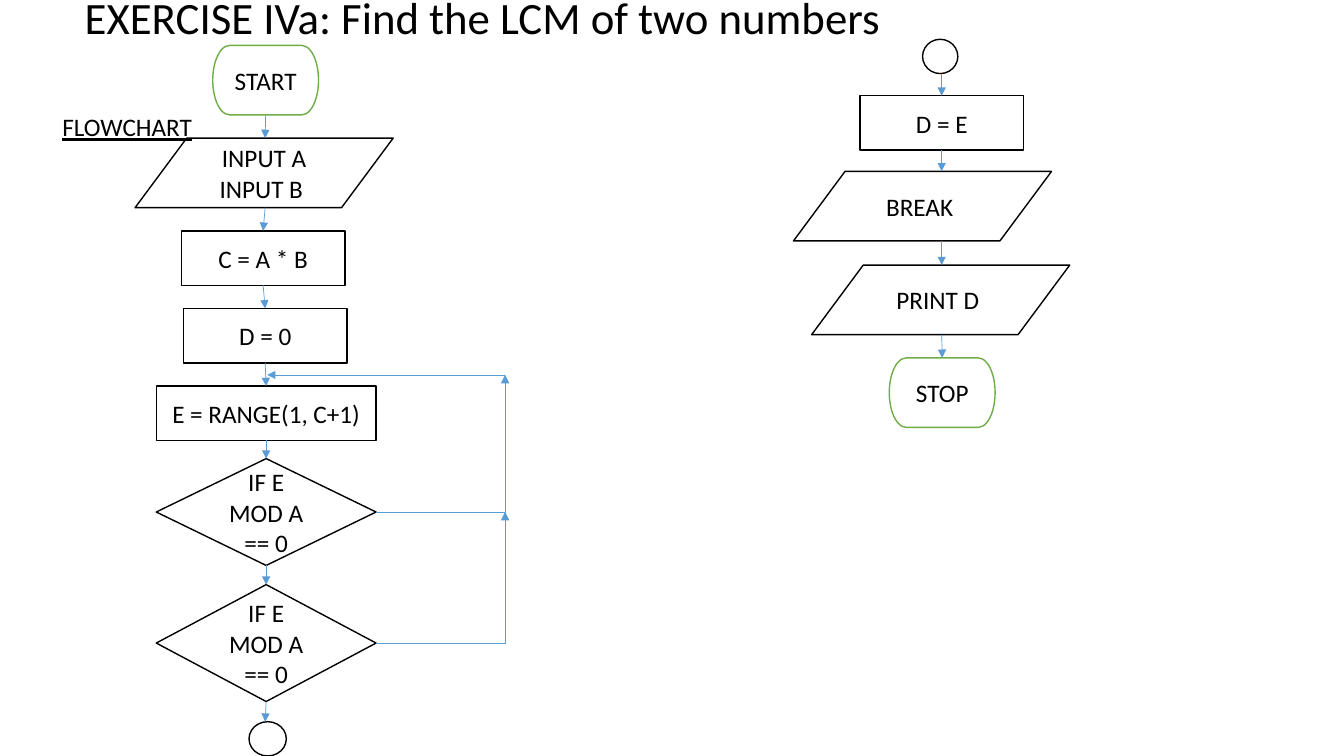
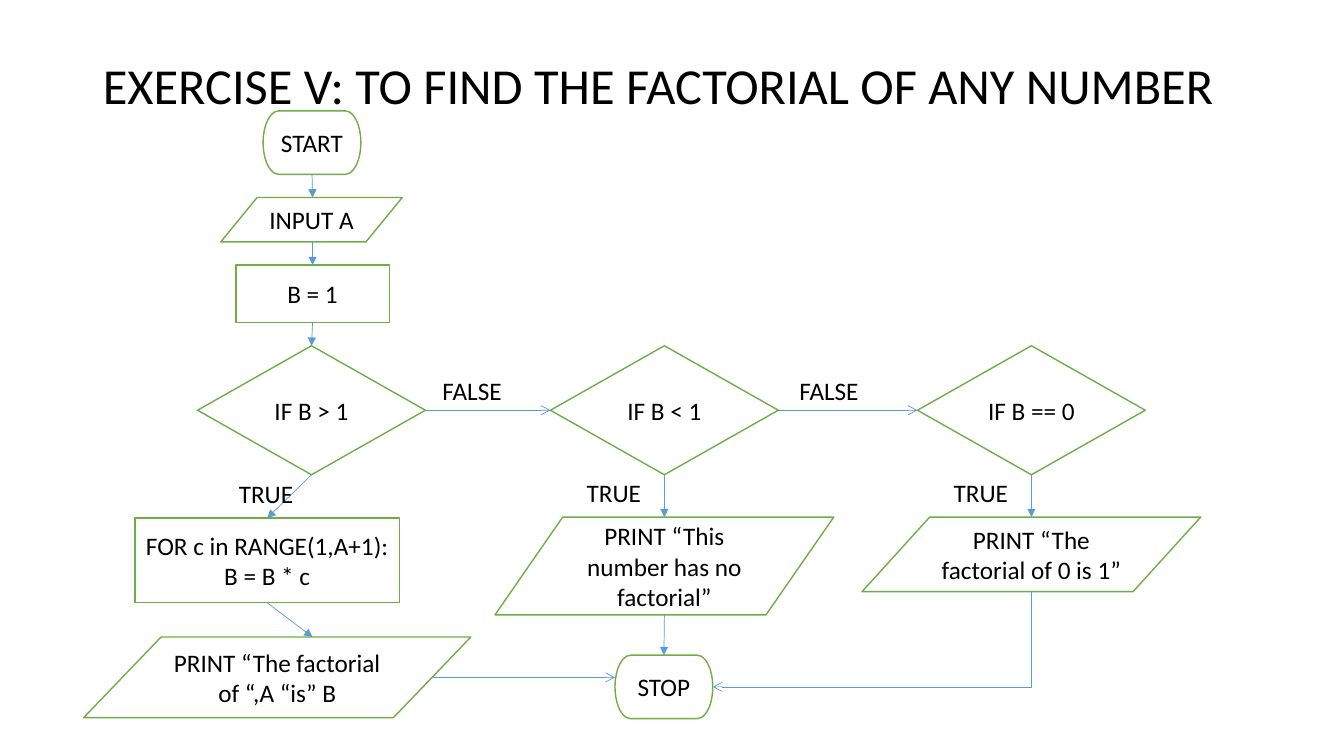
from itertools import pairwise

from lxml import etree
from pptx import Presentation
from pptx import util as u
from pptx.dml.color import RGBColor
from pptx.enum import shapes, text
from pptx.oxml.ns import qn

COLORS = {"ink": "000000", "paper": "FFFFFF", "green": "70AD47", "blue": "5B9BD5"}
FONT = "Calibri"
KINDS = {
    "terminator": shapes.MSO_SHAPE.FLOWCHART_TERMINATOR,
    "data": shapes.MSO_SHAPE.FLOWCHART_DATA,
    "process": shapes.MSO_SHAPE.FLOWCHART_PROCESS,
    "decision": shapes.MSO_SHAPE.FLOWCHART_DECISION,
    "junction": shapes.MSO_SHAPE.FLOWCHART_CONNECTOR,
}
JOINABLE = ("terminator", "process", "decision")
TOP, LEFT, BOTTOM, RIGHT = range(4)


def write(frame, lines, size=18, align=text.PP_ALIGN.LEFT, underline=None):
    frame.word_wrap = True
    for index, line in enumerate(lines):
        para = frame.add_paragraph() if index else frame.paragraphs[0]
        para.alignment = align
        span = para.add_run()
        span.text = line
        span.font.name = FONT
        span.font.size = u.Pt(size)
        span.font.underline = underline
        span.font.color.rgb = RGBColor.from_string(COLORS["ink"])


def connect(page, start, end, head="triangle", begin=None, finish=None, bent=False, arrow_end="tailEnd"):
    style = shapes.MSO_CONNECTOR.ELBOW if bent else shapes.MSO_CONNECTOR.STRAIGHT
    line = page.shapes.add_connector(style, *(u.Inches(v) for v in (*start, *end)))
    line.line.color.rgb = RGBColor.from_string(COLORS["blue"])
    line.line.width = u.Pt(0.5)
    properties = line._element.spPr
    if bent:
        properties.find(qn("a:prstGeom")).set("prst", "bentConnector2")
    etree.SubElement(properties.find(qn("a:ln")), qn(f"a:{arrow_end}"), type=head)
    etree.SubElement(properties, qn("a:effectLst"))
    if begin:
        line.begin_connect(*begin)
    if finish:
        line.end_connect(*finish)


slides = [
    {
        "title": ("EXERCISE IVa: Find the LCM of two numbers", 32, (0.74, 0, 11.5, 0.4)),
        "outline": "ink",
        "columns": [
            (2.63, [
                ("start", "terminator", ["START"], (2.11, 0.45, 1.05, 0.69)),
                ("input", "data", ["INPUT A", "INPUT B "], (1.34, 1.37, 2.56, 0.69)),
                ("product", "process", ["C = A * B"], (1.8, 2.29, 1.62, 0.54)),
                ("zero", "process", ["D = 0"], (1.82, 3.06, 1.62, 0.54)),
                ("range", "process", ["E = RANGE(1, C+1)"], (1.55, 3.83, 2.18, 0.54)),
                ("first test", "decision", ["IF E MOD A == 0"], (1.55, 4.55, 2.18, 1.06)),
                ("second test", "decision", ["IF E MOD A == 0"], (1.55, 5.8, 2.18, 1.16)),
                ("leave", "junction", [], (2.47, 7.16, 0.37, 0.34)),
            ]),
            (9.34, [
                ("resume", "junction", [], (9.15, 0.39, 0.35, 0.34)),
                ("assign", "process", ["D = E"], (8.53, 0.95, 1.62, 0.54)),
                ("break", "data", ["BREAK "], (7.87, 1.7, 2.56, 0.69)),
                ("print", "data", ["PRINT D "], (8.05, 2.63, 2.56, 0.69)),
                ("stop", "terminator", ["STOP"], (8.82, 3.55, 1.05, 0.69)),
            ]),
        ],
        "labels": [("FLOWCHART", 0.52, 1.06, 3.45, True)],
    },
    {
        "title": ("EXERCISE V: TO FIND THE FACTORIAL OF ANY NUMBER", 36, (0.92, 0.4, 11.5, 0.95)),
        "outline": "green",
        "columns": [
            (3.1, [
                ("start", "terminator", ["START"], (2.61, 1.1, 0.97, 0.63)),
                ("input", "data", ["INPUT A"], (2.19, 1.96, 1.8, 0.44)),
                ("one", "process", ["B = 1"], (2.34, 2.63, 1.52, 0.57)),
                ("above", "decision", ["IF B > 1"], (1.96, 3.43, 2.26, 1.28)),
                ("loop", "process", ["FOR c in RANGE(1,A+1):", "B = B * c"], (1.34, 5.14, 2.62, 0.84)),
                ("result", "data", ["PRINT “The factorial of “,A “is” B"], (0.83, 6.32, 3.84, 0.8)),
            ]),
            (6.59, [
                ("below", "decision", ["IF B < 1"], (5.46, 3.43, 2.26, 1.28)),
                ("none", "data", ["PRINT “This number has no factorial”"], (4.91, 5.13, 3.36, 0.97)),
                ("stop", "terminator", ["STOP"], (6.1, 6.5, 0.97, 0.63)),
            ]),
            (10.23, [
                ("equal", "decision", ["IF B == 0"], (9.1, 3.43, 2.26, 1.28)),
                ("unit", "data", ["PRINT “The factorial of 0 is 1”"], (8.55, 5.13, 3.36, 0.74)),
            ]),
        ],
        "labels": [
            ("FALSE", 4.29, 3.67, 0.8, None),
            ("FALSE", 7.83, 3.67, 0.8, None),
            ("TRUE", 2.27, 4.7, 0.76, None),
            ("TRUE", 5.72, 4.69, 0.76, None),
            ("TRUE", 9.36, 4.69, 0.76, None),
        ],
    },
]

deck = Presentation()
deck.slide_width, deck.slide_height = u.Inches(13.33), u.Inches(7.5)
pages, charts = [], []

for content in slides:
    page = deck.slides.add_slide(deck.slide_layouts[5])
    nodes = {}
    pages.append(page)
    charts.append(nodes)

    wording, size, place = content["title"]
    title = page.shapes.title
    title.left, title.top, title.width, title.height = (u.Inches(v) for v in place)
    frame = title.text_frame
    frame.auto_size = text.MSO_AUTO_SIZE.NONE
    frame.vertical_anchor = text.MSO_ANCHOR.MIDDLE
    frame.margin_top = frame.margin_bottom = 0
    write(frame, [wording], size)
    frame.paragraphs[0].line_spacing = 0.9

    for spine, steps in content["columns"]:
        for name, kind, lines, place in steps:
            box = page.shapes.add_shape(KINDS[kind], *(u.Inches(v) for v in place))
            box.shadow.inherit = False
            box.fill.solid()
            box.fill.fore_color.rgb = RGBColor.from_string(COLORS["paper"])
            outline = "green" if kind == "terminator" else content["outline"]
            box.line.color.rgb = RGBColor.from_string(COLORS[outline])
            box.line.width = u.Pt(1)
            write(box.text_frame, lines, align=text.PP_ALIGN.CENTER)
            nodes[name] = box

        for upper, lower in pairwise(steps):
            (_, top, _, height), below = upper[3], lower[3][1]
            connect(
                page, (spine, top + height), (spine, below),
                begin=(nodes[upper[0]], BOTTOM) if upper[1] in JOINABLE else None,
                finish=(nodes[lower[0]], TOP) if lower[1] in JOINABLE else None,
            )

    for wording, left, top, width, underline in content["labels"]:
        label = page.shapes.add_textbox(*(u.Inches(v) for v in (left, top, width, 0.4)))
        write(label.text_frame, [wording], underline=underline)

lcm, factorial = pages
tests, branches = charts

connect(lcm, (3.73, 5.08), (5.01, 3.72), begin=(tests["first test"], RIGHT), bent=True)
connect(lcm, (3.73, 6.38), (5.01, 5.08), begin=(tests["second test"], RIGHT), bent=True)
connect(lcm, (5.01, 3.72), (2.65, 3.72))

for source, target in pairwise(("above", "below", "equal")):
    connect(
        factorial, (4.22, 4.07), (5.46, 4.07), head="arrow",
        begin=(branches[source], RIGHT), finish=(branches[target], LEFT),
    )
connect(factorial, (4.29, 6.72), (6.1, 6.72), head="arrow")
connect(
    factorial, (7.07, 6.81), (10.23, 5.87), head="arrow",
    begin=(branches["stop"], RIGHT), bent=True, arrow_end="headEnd",
)

deck.save("out.pptx")
